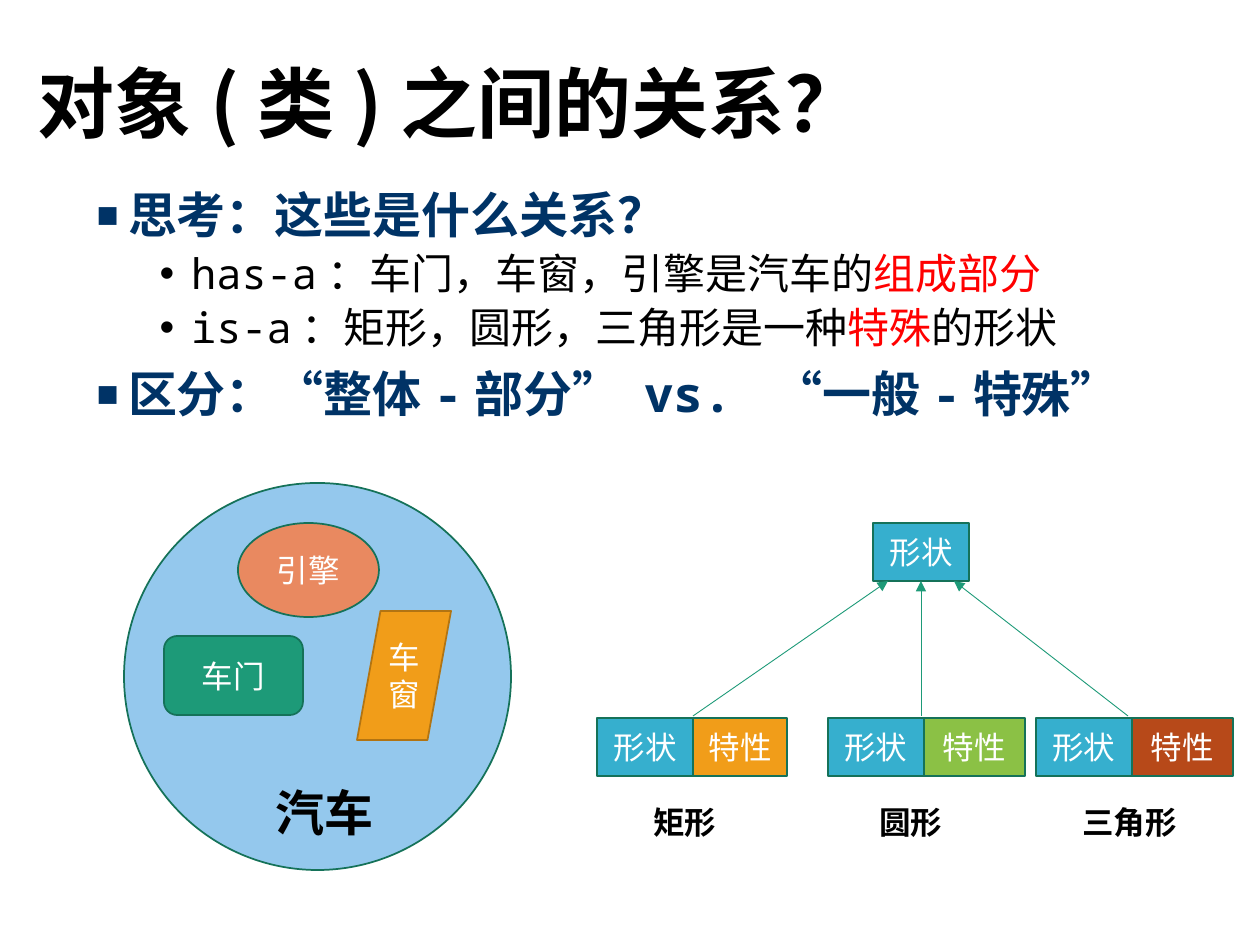
from dataclasses import dataclass

from lxml import etree
from pptx import Presentation
from pptx.dml.color import RGBColor
from pptx.enum.shapes import MSO_CONNECTOR, MSO_SHAPE
from pptx.enum.text import MSO_ANCHOR, MSO_AUTO_SIZE, PP_ALIGN
from pptx.oxml.ns import qn
from pptx.util import Emu, Pt

RECT, ELLIPSE = MSO_SHAPE.RECTANGLE, MSO_SHAPE.OVAL
ROUNDED, SLANTED = MSO_SHAPE.ROUNDED_RECTANGLE, MSO_SHAPE.PARALLELOGRAM
STRAIGHT = MSO_CONNECTOR.STRAIGHT
TOP, MIDDLE = MSO_ANCHOR.TOP, MSO_ANCHOR.MIDDLE
LEFT, CENTER = PP_ALIGN.LEFT, PP_ALIGN.CENTER
NO_FIT, GROW = MSO_AUTO_SIZE.NONE, MSO_AUTO_SIZE.SHAPE_TO_FIT_TEXT


@dataclass(frozen=True)
class Theme:
    black: str = "000000"
    white: str = "FFFFFF"
    navy: str = "003366"
    red: str = "FF0000"
    sky: str = "94C8ED"
    cyan: str = "36AFCE"
    green: str = "1D9A78"
    edge: str = "157259"
    orange: str = "F19D19"
    brown: str = "B27412"
    salmon: str = "E98960"
    lime: str = "8BC145"
    rust: str = "B74919"
    cjk: str = "Noto Sans CJK SC"
    mono: str = "Noto Sans Mono"
    sans: str = "Calibri"
    title: int = 44
    head: int = 28
    item: int = 24
    label: int = 18


T = Theme()


def px(n):
    return Emu(round(n * 914400 / 126))


def assign(obj, values):
    for name, value in values.items():
        setattr(obj, name, value)


class Deck:
    def __init__(self, prs):
        self.s = prs.slides.add_slide(prs.slide_layouts[1])
        self.shapes = self.s.shapes

    def group(self):
        self.shapes = self.s.shapes.add_group_shape().shapes

    def run(self, p, text, size, color, font=T.sans, bold=False):
        r = p.add_run()
        r.text = text
        r.font.color.rgb = RGBColor.from_string(color)
        assign(r.font, dict(size=Pt(size), name=font, bold=bold))
        etree.SubElement(r._r.get_or_add_rPr(), qn("a:ea"), typeface=T.cjk)

    def place(self, sp, box):
        assign(sp, dict(zip(("left", "top", "width", "height"), map(px, box))))

    def title(self, box, text):
        sp = self.s.shapes.title
        self.place(sp, box)
        assign(sp.text_frame, dict(vertical_anchor=MIDDLE, auto_size=NO_FIT, word_wrap=True))
        p = sp.text_frame.paragraphs[0]
        assign(p, dict(alignment=LEFT, line_spacing=0.9))
        self.run(p, text, T.title, T.black, T.cjk, True)

    def body(self, box, items):
        sp = self.s.placeholders[1]
        self.place(sp, box)
        tf = sp.text_frame
        assign(tf, dict(vertical_anchor=TOP, auto_size=NO_FIT, word_wrap=True))
        for i, (level, parts) in enumerate(items):
            p = tf.add_paragraph() if i else tf.paragraphs[0]
            assign(p, dict(level=level, alignment=LEFT, line_spacing=0.9,
                           space_before=Pt(5 if level else 10)))
            self.bullet(p, level)
            for text, color in parts:
                self.run(p, text, T.item if level else T.head, color, T.mono, not level)

    def bullet(self, p, level):
        pPr = p._p.get_or_add_pPr()
        pPr.set("marL", str(px(94.5 if level else 31.5)))
        pPr.set("indent", str(-px(31.5)))
        etree.SubElement(pPr, qn("a:buSzPct"), val="100000" if level else "75000")
        etree.SubElement(pPr, qn("a:buFont"), typeface="Arial")
        etree.SubElement(pPr, qn("a:buChar"), char="•" if level else "■")

    def shape(self, kind, box, fill, text="", line=T.edge):
        sp = self.shapes.add_shape(kind, *map(px, box))
        sp.shadow.inherit = False
        sp.fill.solid()
        sp.fill.fore_color.rgb = RGBColor.from_string(fill)
        sp.line.color.rgb = RGBColor.from_string(line)
        sp.line.width = Pt(1)
        if text:
            tf = sp.text_frame
            assign(tf, dict(vertical_anchor=MIDDLE, word_wrap=True))
            tf.paragraphs[0].alignment = CENTER
            self.run(tf.paragraphs[0], text, T.label, T.white)

    def label(self, box, text, size=T.label):
        tf = self.shapes.add_textbox(*map(px, box)).text_frame
        assign(tf, dict(word_wrap=True, auto_size=GROW))
        self.run(tf.paragraphs[0], text, size, T.black, bold=True)

    def arrow(self, start, end):
        c = self.shapes.add_connector(STRAIGHT, *map(px, start + end))
        c.line.color.rgb = RGBColor.from_string(T.green)
        c.line.width = Pt(0.5)
        etree.SubElement(c.line._get_or_add_ln(), qn("a:tailEnd"), type="triangle")
        etree.SubElement(c._element.spPr, qn("a:effectLst"))


prs = Presentation()
assign(prs, dict(slide_width=px(1260), slide_height=px(945)))
deck = Deck(prs)

deck.title((25, 16, 1086, 183), "对象(类)之间的关系？")
deck.body((84, 185, 1109, 714), [
    (0, [("思考：这些是什么关系？", T.navy)]),
    (1, [("has-a：车门，车窗，引擎是汽车的", T.black), ("组成部分", T.red)]),
    (1, [("is-a：矩形，圆形，三角形是一种", T.black), ("特殊", T.red), ("的形状", T.black)]),
    (0, [("区分：“整体-部分” vs. “一般-特殊”", T.navy)]),
])

deck.group()
deck.shape(ELLIPSE, (124, 483, 387, 387), T.sky)
deck.label((263, 776, 189, 72), "汽车", T.head)
deck.shape(ROUNDED, (164, 636, 139, 79), T.green, "车门")
deck.shape(SLANTED, (357, 611, 94, 129), T.orange, "车窗", T.brown)
deck.shape(ELLIPSE, (238, 523, 141, 94), T.salmon, "引擎")

deck.group()
BASE_W, BOX_H, CHILD_Y = 96, 58, 718
deck.shape(RECT, (873, 523, BASE_W, BOX_H), T.cyan, "形状")
children = [
    ("矩形", 597, 94, T.orange, 641, 100, 693, 888),
    ("圆形", 828, 101, T.lime, 867, 100, 921, 921),
    ("三角形", 1036, 101, T.rust, 1070, 123, 1128, 954),
]
for name, x, trait_w, color, label_x, label_w, start_x, end_x in children:
    deck.shape(RECT, (x + BASE_W, CHILD_Y, trait_w, BOX_H), color, "特性")
    deck.shape(RECT, (x, CHILD_Y, BASE_W, BOX_H), T.cyan, "形状")
    deck.label((label_x, 797, label_w, 50), name)
    deck.arrow((start_x, 716), (end_x, 581))

prs.save("out.pptx")
